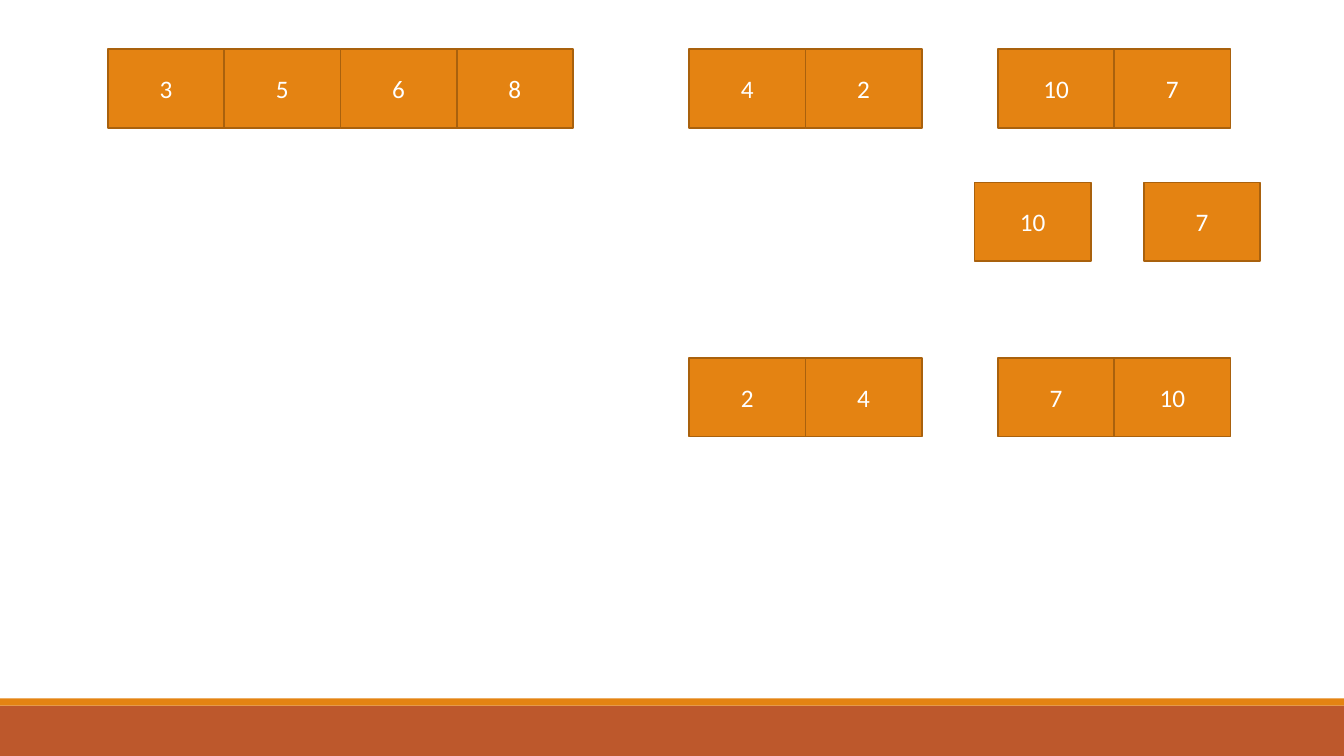
from dataclasses import dataclass

from pptx import Presentation
from pptx.dml.color import RGBColor
from pptx.enum.shapes import MSO_SHAPE
from pptx.enum.text import MSO_ANCHOR, PP_ALIGN
from pptx.util import Cm, Pt


@dataclass(frozen=True)
class Theme:
    background: RGBColor = RGBColor.from_string("FFFFFF")
    accent: RGBColor = RGBColor.from_string("E48312")
    outline: RGBColor = RGBColor.from_string("A9610D")
    footer: RGBColor = RGBColor.from_string("BD582C")
    digit: RGBColor = RGBColor.from_string("FFFFFF")
    font: str = "Calibri"
    digit_size: Pt = Pt(18)
    outline_width: Pt = Pt(1.25)


THEME = Theme()
SLIDE_WIDTH, SLIDE_HEIGHT = Cm(33.87), Cm(19.05)
CELL_WIDTH, CELL_HEIGHT = Cm(2.93), Cm(1.98)
START_TOP, SPLIT_TOP, SORTED_TOP = Cm(1.24), Cm(4.6), Cm(9.02)
LEFT_HALF, MIDDLE_PAIR, RIGHT_PAIR, SPLIT_PAIR = Cm(2.72), Cm(17.37), Cm(25.15), Cm(24.56)
SPLIT_GAP = Cm(1.34)


def add_block(slide, left, top, width, height, fill):
    block = slide.shapes.add_shape(MSO_SHAPE.RECTANGLE, left, top, width, height)
    block.shadow.inherit = False
    block.fill.solid()
    block.fill.fore_color.rgb = fill
    block.line.fill.background()
    return block


def add_footer(slide, left, top, width, height):
    """Place the footer band with its thin accent stripe along the top."""
    stripe = Cm(0.18)
    add_block(slide, left, top + stripe, width, height - stripe, THEME.footer)
    add_block(slide, left, top, width, stripe, THEME.accent)


def add_array(slide, left, top, values, gap=0):
    """Place the values in a row of cells, with a gap between neighbours."""
    for index, value in enumerate(values):
        cell = add_block(slide, left + index * (CELL_WIDTH + gap), top,
                         CELL_WIDTH, CELL_HEIGHT, THEME.accent)
        cell.line.color.rgb = THEME.outline
        cell.line.width = THEME.outline_width
        cell.text_frame.vertical_anchor = MSO_ANCHOR.MIDDLE
        digit = cell.text_frame.paragraphs[0]
        digit.text = str(value)
        digit.alignment = PP_ALIGN.CENTER
        digit.font.name = THEME.font
        digit.font.size = THEME.digit_size
        digit.font.color.rgb = THEME.digit


def add_merge_sort_slide(presentation):
    slide = presentation.slides.add_slide(presentation.slide_layouts[6])
    slide.background.fill.solid()
    slide.background.fill.fore_color.rgb = THEME.background

    footer_height = Cm(1.45)
    add_footer(slide, 0, SLIDE_HEIGHT - footer_height, SLIDE_WIDTH, footer_height)

    add_array(slide, LEFT_HALF, START_TOP, [3, 5, 6, 8])
    add_array(slide, MIDDLE_PAIR, START_TOP, [4, 2])
    add_array(slide, RIGHT_PAIR, START_TOP, [10, 7])
    add_array(slide, SPLIT_PAIR, SPLIT_TOP, [10, 7], SPLIT_GAP)
    add_array(slide, MIDDLE_PAIR, SORTED_TOP, [2, 4])
    add_array(slide, RIGHT_PAIR, SORTED_TOP, [7, 10])


def main():
    presentation = Presentation()
    presentation.slide_width = SLIDE_WIDTH
    presentation.slide_height = SLIDE_HEIGHT
    add_merge_sort_slide(presentation)
    presentation.save("out.pptx")


if __name__ == "__main__":
    main()
